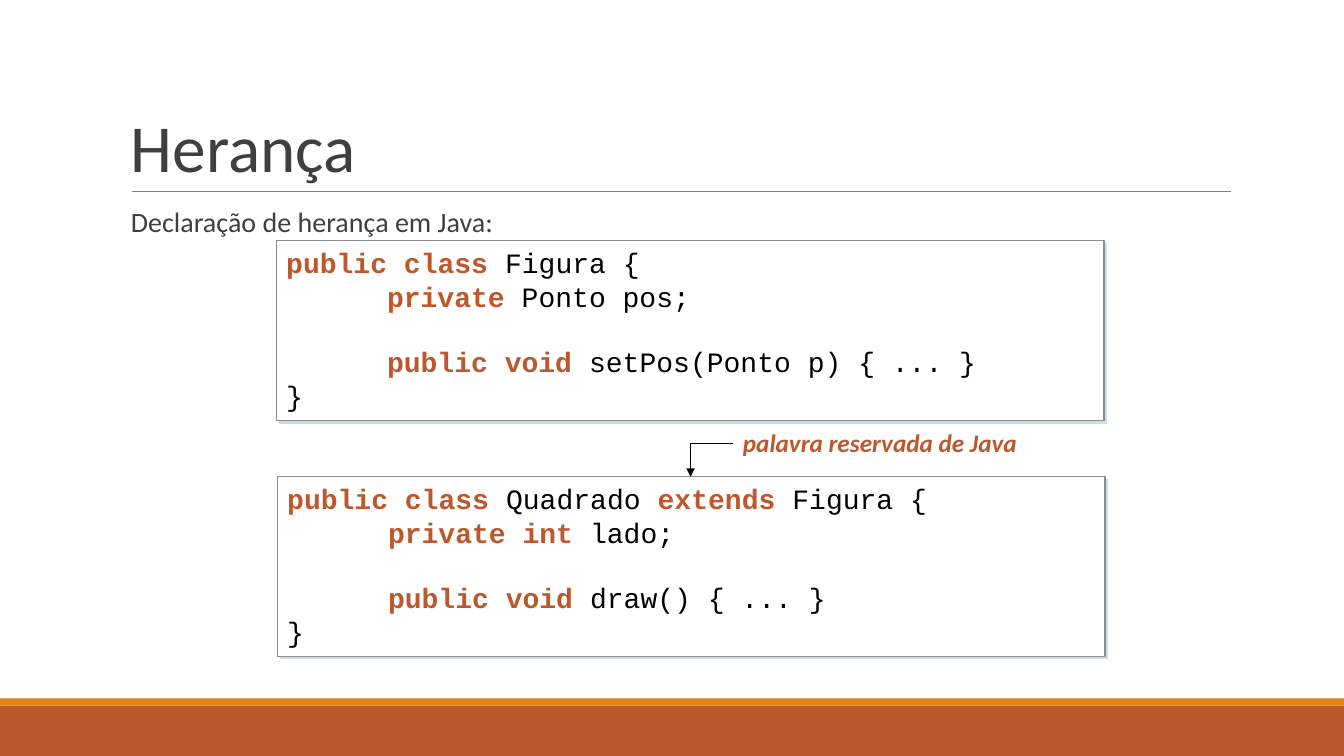
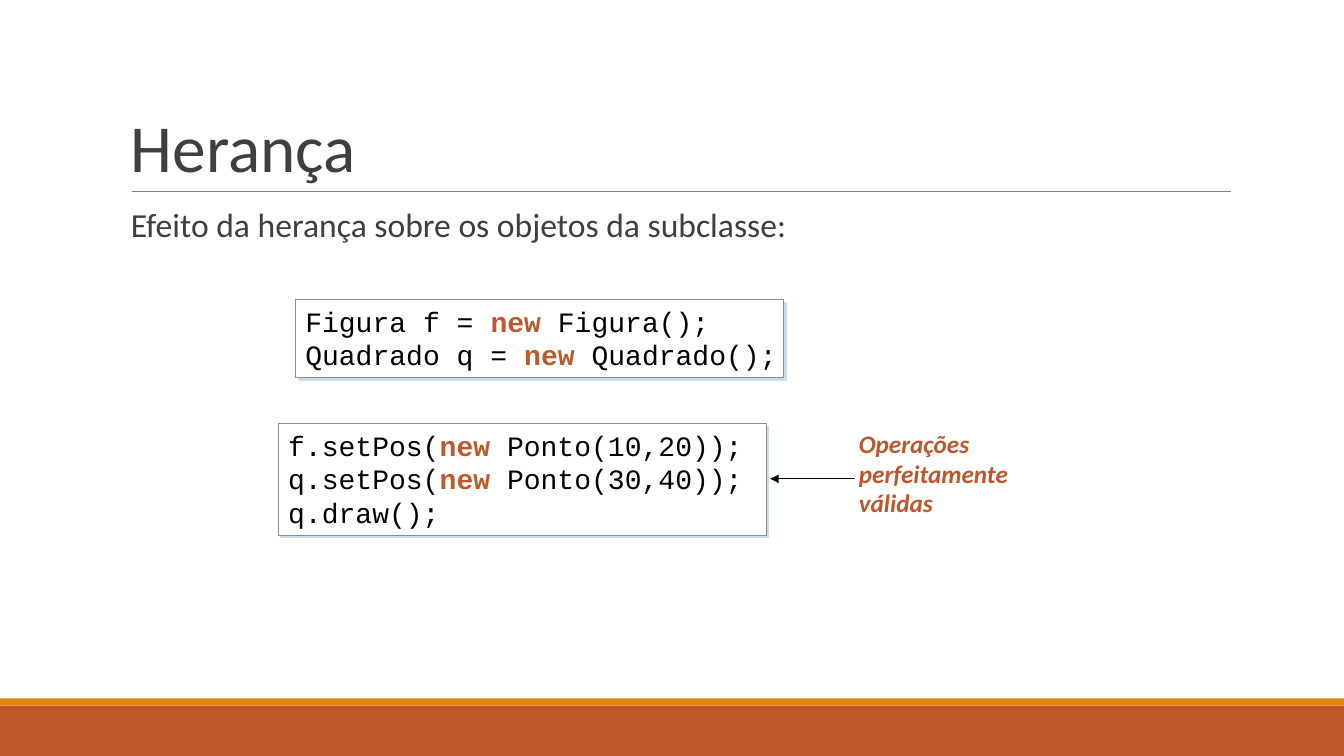
from lxml.etree import SubElement
from pptx import Presentation
from pptx.dml.color import RGBColor
from pptx.enum.shapes import MSO_CONNECTOR, MSO_SHAPE
from pptx.enum.text import MSO_ANCHOR, PP_ALIGN
from pptx.oxml.ns import qn
from pptx.util import Inches, Pt

RECT = MSO_SHAPE.RECTANGLE
STRAIGHT, ELBOW = MSO_CONNECTOR.STRAIGHT, MSO_CONNECTOR.ELBOW
TOP, BOTTOM = MSO_ANCHOR.TOP, MSO_ANCHOR.BOTTOM
LEFT = PP_ALIGN.LEFT

RUST = RGBColor(0xBD, 0x58, 0x2C)
AMBER = RGBColor(0xE4, 0x83, 0x12)
DARK = RGBColor(0x3F, 0x3F, 0x3F)
RULE = RGBColor(0x7F, 0x7F, 0x7F)
EDGE = RGBColor(0x8C, 0x8C, 0x8C)
SHADE = RGBColor(0xCC, 0xDD, 0xEA)
BLACK = RGBColor(0, 0, 0)
WHITE = RGBColor(0xFF, 0xFF, 0xFF)

SANS, MONO = "Calibri", "Courier New"
CODE_SIZE = 20
CODE_LINE = 22.66


class Deck:
    """Holds the style and the current slide, and draws each kind of element."""

    def __init__(self):
        self.prs = Presentation()
        self.prs.slide_width = Inches(13.33)
        self.prs.slide_height = Inches(7.5)
        self.slide = None

    def page(self, title, lead, size):
        self.slide = self.prs.slides.add_slide(self.prs.slide_layouts[6])
        self.rect(0, 7, 13.33, 0.5, RUST)
        self.rect(0, 6.93, 13.33, 0.07, AMBER)
        self.line((1.31, 1.9), (12.21, 1.9), RULE)
        self.text(1.2, 0.31, 11, 1.59, [title], 48, spacing=0.85, anchor=BOTTOM)
        self.text(1.2, 2.02, 11, 0.5, [lead], size, spacing=0.9)

    def rect(self, x, y, w, h, fill):
        box = self.slide.shapes.add_shape(
            RECT, Inches(x), Inches(y), Inches(w), Inches(h))
        box.shadow.inherit = False
        box.fill.solid()
        box.fill.fore_color.rgb = fill
        box.line.fill.background()
        return box

    def line(self, start, end, color=BLACK, kind=STRAIGHT):
        ends = [Inches(v) for v in start + end]
        link = self.slide.shapes.add_connector(kind, *ends)
        link.line.color.rgb = color
        link.line.width = Pt(0.75)
        SubElement(link._element.spPr, qn("a:effectLst"))
        return link

    def arrow(self, start, end, kind=STRAIGHT):
        props = self.line(start, end, kind=kind)._element.spPr
        SubElement(props.find(qn("a:ln")), qn("a:tailEnd"), type="triangle")
        if kind == ELBOW:
            props.find(qn("a:prstGeom")).set("prst", "bentConnector2")

    def font(self, run, name, size, color, bold=False, italic=False):
        run.font.name = name
        run.font.size = Pt(size)
        run.font.color.rgb = color
        run.font.bold = bold
        run.font.italic = italic

    def text(self, x, y, w, h, lines, size, color=DARK, strong=False,
             spacing=1.0, gap=0, anchor=TOP, pad=0.05):
        box = self.slide.shapes.add_textbox(
            Inches(x), Inches(y), Inches(w), Inches(h))
        frame = box.text_frame
        frame.word_wrap = True
        frame.vertical_anchor = anchor
        frame.margin_top = frame.margin_bottom = Inches(pad)
        frame.text = "\n".join(lines)
        for i, para in enumerate(frame.paragraphs):
            para.line_spacing = spacing
            para.space_before = Pt(gap if i else 0)
            self.font(para.runs[0], SANS, size, color, strong, strong)

    def note(self, x, y, w, h, lines, spacing=1.0, gap=0):
        self.text(x, y, w, h, lines, 18, RUST, True, spacing, gap, pad=0.09)

    def code(self, x, y, w, h, lines):
        """Draws a code box: *...* marks keywords, a tab indents, None skips a line."""
        box = self.rect(x, y, w, h, WHITE)
        box.line.color.rgb = EDGE
        box.line.width = Pt(0.75)
        self.shade(box)
        frame = box.text_frame
        frame.word_wrap = True
        frame.vertical_anchor = TOP
        frame.margin_left, frame.margin_right = Inches(0.1), Inches(0.04)
        frame.margin_top = frame.margin_bottom = Inches(0.05)
        para, skip = frame.paragraphs[0], 0
        for i, line in enumerate(lines):
            if line is None:
                skip = CODE_LINE
                continue
            if i:
                para = frame.add_paragraph()
            para.alignment = LEFT
            para.space_before = Pt(skip)
            skip = 0
            if line.startswith("\t"):
                props = para._p.get_or_add_pPr()
                props.set("marL", str(Inches(1)))
                props.set("indent", "0")
            for j, part in enumerate(line.strip("\t").split("*")):
                if part:
                    run = para.add_run()
                    run.text = part
                    key = j % 2 == 1
                    self.font(run, MONO, CODE_SIZE, RUST if key else BLACK, key)

    def shade(self, box):
        effects = box._element.spPr.find(qn("a:effectLst"))
        drop = SubElement(effects, qn("a:outerShdw"), blurRad="0",
                          dist=str(Pt(2.8)), dir="2700000", algn="ctr",
                          rotWithShape="0")
        SubElement(drop, qn("a:srgbClr"), val=str(SHADE))


def main():
    deck = Deck()

    deck.page("Herança", "Declaração de herança em Java:", 20)
    deck.code(2.74, 2.39, 8.21, 1.78, [
        "*public class* Figura {",
        "\t*private* Ponto pos;",
        None,
        "\t*public void* setPos(Ponto p) { ... }",
        "}"])
    deck.code(2.75, 4.73, 8.21, 1.78, [
        "*public class* Quadrado *extends* Figura {",
        "\t*private int* lado;",
        None,
        "\t*public void* draw() { ... }",
        "}"])
    deck.note(7.27, 4.15, 2.95, 0.49, ["palavra reservada de Java"])
    deck.arrow((7.27, 4.4), (6.85, 4.73), ELBOW)

    deck.page("Herança", "Efeito da herança sobre os objetos da subclasse:", 24)
    deck.code(2.93, 2.97, 4.84, 0.78, [
        "Figura f = *new* Figura();",
        "Quadrado q = *new* Quadrado();"])
    deck.code(2.76, 4.2, 4.84, 1.11, [
        "f.setPos(*new* Ponto(10,20));",
        "q.setPos(*new* Ponto(30,40));",
        "q.draw();"])
    deck.note(8.42, 4.22, 1.7, 1.04, ["Operações", "perfeitamente", "válidas"],
              0.8, 3.6)
    deck.arrow((8.48, 4.75), (7.64, 4.75))

    deck.prs.save("out.pptx")


if __name__ == "__main__":
    main()
